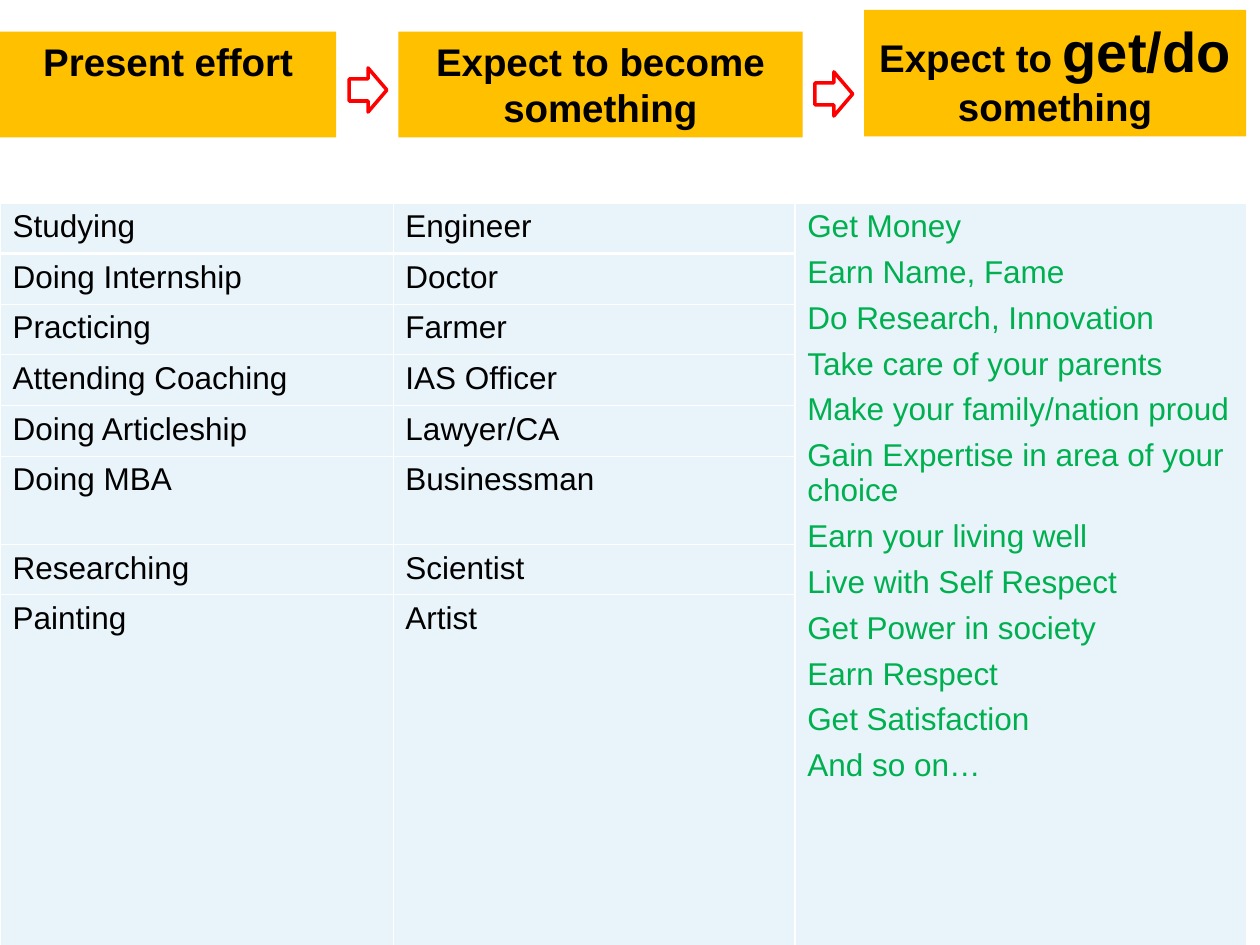
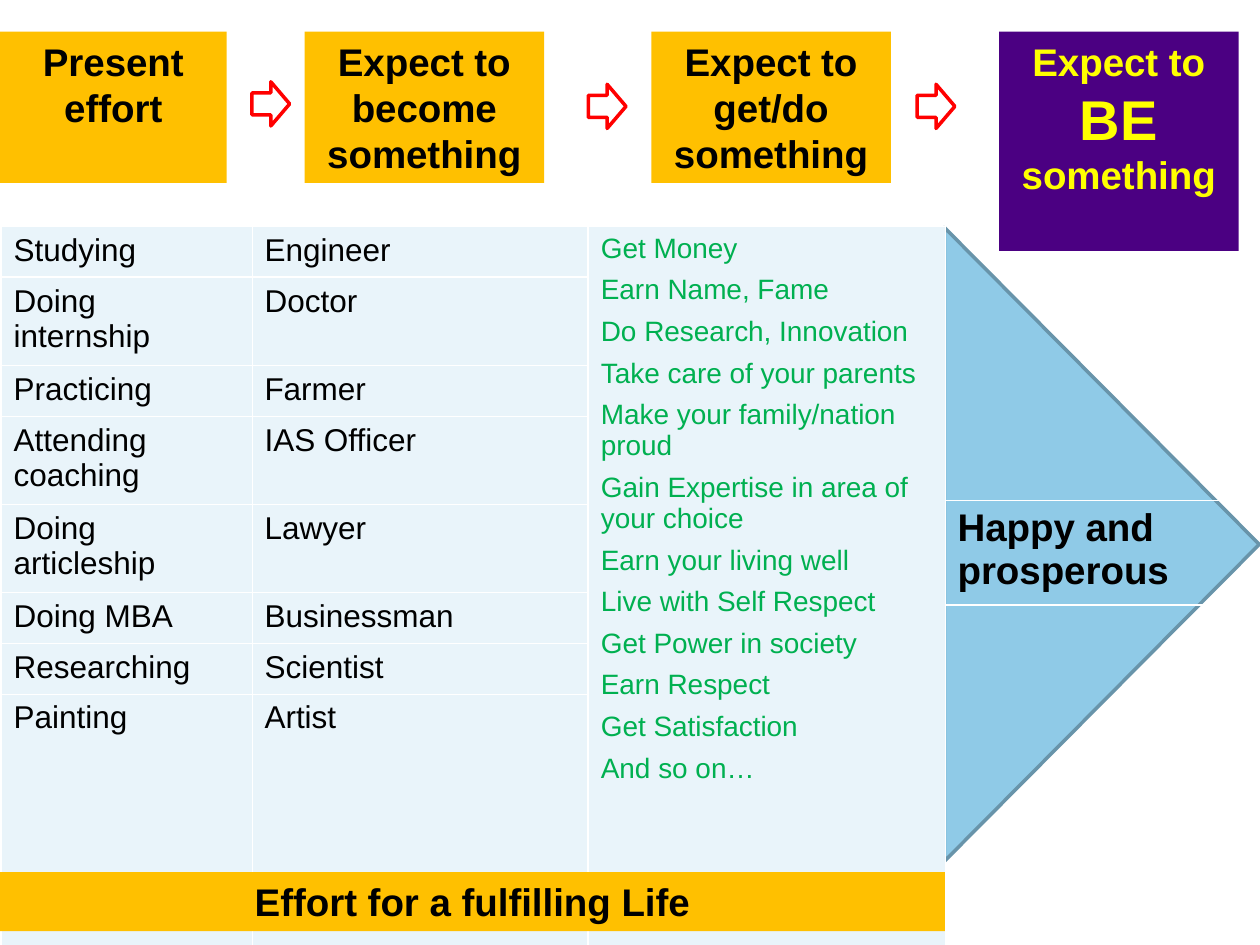
from lxml import etree
from pptx import Presentation
from pptx.dml.color import RGBColor
from pptx.enum.shapes import MSO_SHAPE
from pptx.enum.text import MSO_ANCHOR, PP_ALIGN
from pptx.oxml.ns import qn
from pptx.util import Cm, Pt

RECT, ARROW, PEAK = MSO_SHAPE.RECTANGLE, MSO_SHAPE.RIGHT_ARROW, MSO_SHAPE.ISOSCELES_TRIANGLE
LEFT, MID, TOP = PP_ALIGN.LEFT, PP_ALIGN.CENTER, MSO_ANCHOR.TOP
FONT = "Arial"
HEX = {"gold": "FFC000", "ink": "000000", "green": "00B050", "pale": "E9F4FA",
       "white": "FFFFFF", "red": "FF0000", "plum": "4B0082", "lemon": "FFFF00",
       "sky": "8FCAE7", "steel": "6894AA"}
COL = {name: RGBColor.from_string(code) for name, code in HEX.items()}
THIN, THICK = Pt(0.45), Pt(1.47)
ONE, TWO = 1.02, 1.78  # height of a row with one or two lines


def write(frame, lines, size=18, color="ink", bold=False, align=LEFT, gap=0):
    """Fill a text frame; a line is a string or a list of (text, size) runs."""
    frame.word_wrap = True
    for i, line in enumerate(lines):
        para = frame.paragraphs[0] if i == 0 else frame.add_paragraph()
        para.alignment = align
        if i:
            para.space_before = Pt(gap)
        for text, points in [(line, size)] if isinstance(line, str) else line:
            run = para.add_run()
            run.text = text
            font = run.font
            font.name, font.size, font.bold = FONT, Pt(points), bold
            font.color.rgb = COL[color]


def grid(slide, left, top, cols, rows, fill=None):
    """Add a table with white rules, heavier below row one and beside column three."""
    shape = slide.shapes.add_table(len(rows), len(cols), Cm(left), Cm(top),
                                   Cm(sum(cols)), Cm(sum(rows)))
    table = shape.table
    table.first_row = table.horz_banding = False
    for col, width in zip(table.columns, cols):
        col.width = Cm(width)
    for row, height in zip(table.rows, rows):
        row.height = Cm(height)
    for r in range(len(rows)):
        for c in range(len(cols)):
            cell = table.cell(r, c)
            if fill:
                cell.fill.solid()
                cell.fill.fore_color.rgb = COL[fill]
            else:
                cell.fill.background()
            heavy = {"L": c == 2, "R": c == 1, "T": r == 1, "B": r == 0}
            props = cell._tc.get_or_add_tcPr()
            for i, (side, wide) in enumerate(heavy.items()):
                rule = etree.Element(qn("a:ln" + side), w=str(THICK if wide else THIN))
                ink = etree.SubElement(rule, qn("a:solidFill"))
                etree.SubElement(ink, qn("a:srgbClr"), val=HEX["white"])
                props.insert(i, rule)
    return table


deck = Presentation()
deck.slide_width, deck.slide_height = Cm(25.4), Cm(19.05)
first, second = [deck.slides.add_slide(deck.slide_layouts[6]) for _ in range(2)]

# Large pointer behind the second table
peak = second.shapes.add_shape(PEAK, Cm(15.82), Cm(7.8), Cm(12.78), Cm(6.35))
peak.rotation = 90
peak.shadow.inherit = False
peak.fill.solid()
peak.fill.fore_color.rgb = COL["sky"]
peak.line.color.rgb = COL["steel"]
peak.line.width = Pt(2)

# Tables of efforts, roles and gains
roles = ["Engineer", "Doctor", "Farmer", "IAS Officer", "Lawyer", "Businessman",
         "Scientist", "Artist"]
gains = ["Get Money", "Earn Name, Fame", "Do Research, Innovation",
         "Take care of your parents", "Make your family/nation proud",
         "Gain Expertise in area of your choice", "Earn your living well",
         "Live with Self Respect", "Get Power in society", "Earn Respect",
         "Get Satisfaction", "And so on…"]
tables = [
    (first, 0, 4.09, [7.92, 8.1, 9.1], [ONE] * 5 + [TWO, ONE], 18,
     ["Studying", "Doing Internship", "Practicing", "Attending Coaching",
      "Doing Articleship", "Doing MBA", "Researching", "Painting"],
     roles[:4] + ["Lawyer/CA"] + roles[5:]),
    (second, 0.02, 4.57, [5.06, 6.78, 7.19], [ONE, TWO, ONE, TWO, TWO, ONE, ONE], 16,
     ["Studying", "Doing internship", "Practicing", "Attending coaching",
      "Doing articleship", "Doing MBA", "Researching", "Painting"],
     roles),
]
for slide, left, top, cols, rows, size, tasks, jobs in tables:
    last = 19.05 - top - sum(rows)
    table = grid(slide, left, top, cols, rows + [last], "pale")
    for r, pair in enumerate(zip(tasks, jobs)):
        for c, text in enumerate(pair):
            write(table.cell(r, c).text_frame, [text])
    table.cell(0, 2).merge(table.cell(7, 2))
    write(table.cell(0, 2).text_frame, gains, size=size, color="green", gap=6)

goal = grid(second, 19.05, 10.08, [6.35], [2.11])
write(goal.cell(0, 0).text_frame, ["Happy and prosperous"], size=22, bold=True)

# Heading boxes and the closing band
boxes = [
    (first, 0, 0.64, 6.78, 2.13, "gold", "ink", "Present effort"),
    (first, 8.03, 0.64, 8.15, 2.13, "gold", "ink", "Expect to become something"),
    (first, 17.42, 0.2, 7.7, 2.55, "gold", "ink",
     [("Expect to ", 22), ("get/do ", 32), ("something", 22)]),
    (second, 0, 0.64, 4.57, 3.05, "gold", "ink", "Present effort"),
    (second, 6.14, 0.64, 4.83, 3.05, "gold", "ink", "Expect to become something"),
    (second, 13.13, 0.64, 4.83, 3.05, "gold", "ink", "Expect to get/do something"),
    (second, 20.14, 0.64, 4.83, 4.42, "plum", "lemon",
     [("Expect to ", 22), ("BE ", 32), ("something", 22)]),
    (second, 0, 17.58, 19.05, 1.19, "gold", "ink", "Effort for a fulfilling Life"),
]
for slide, left, top, width, height, fill, color, text in boxes:
    box = slide.shapes.add_shape(RECT, Cm(left), Cm(top), Cm(width), Cm(height))
    box.shadow.inherit = False
    box.fill.solid()
    box.fill.fore_color.rgb = COL[fill]
    box.line.fill.background()
    box.text_frame.vertical_anchor = TOP
    write(box.text_frame, [text], size=22, color=color, bold=True, align=MID)

# Arrows between the headings
arrows = [(first, 7.04, 1.37), (first, 16.43, 1.45),
          (second, 5.08, 1.65), (second, 11.86, 1.7), (second, 18.49, 1.7)]
for slide, left, top in arrows:
    arrow = slide.shapes.add_shape(ARROW, Cm(left), Cm(top), Cm(0.76), Cm(0.89))
    arrow.shadow.inherit = False
    arrow.fill.background()
    arrow.line.color.rgb = COL["red"]
    arrow.line.width = Pt(2)

deck.save("out.pptx")
